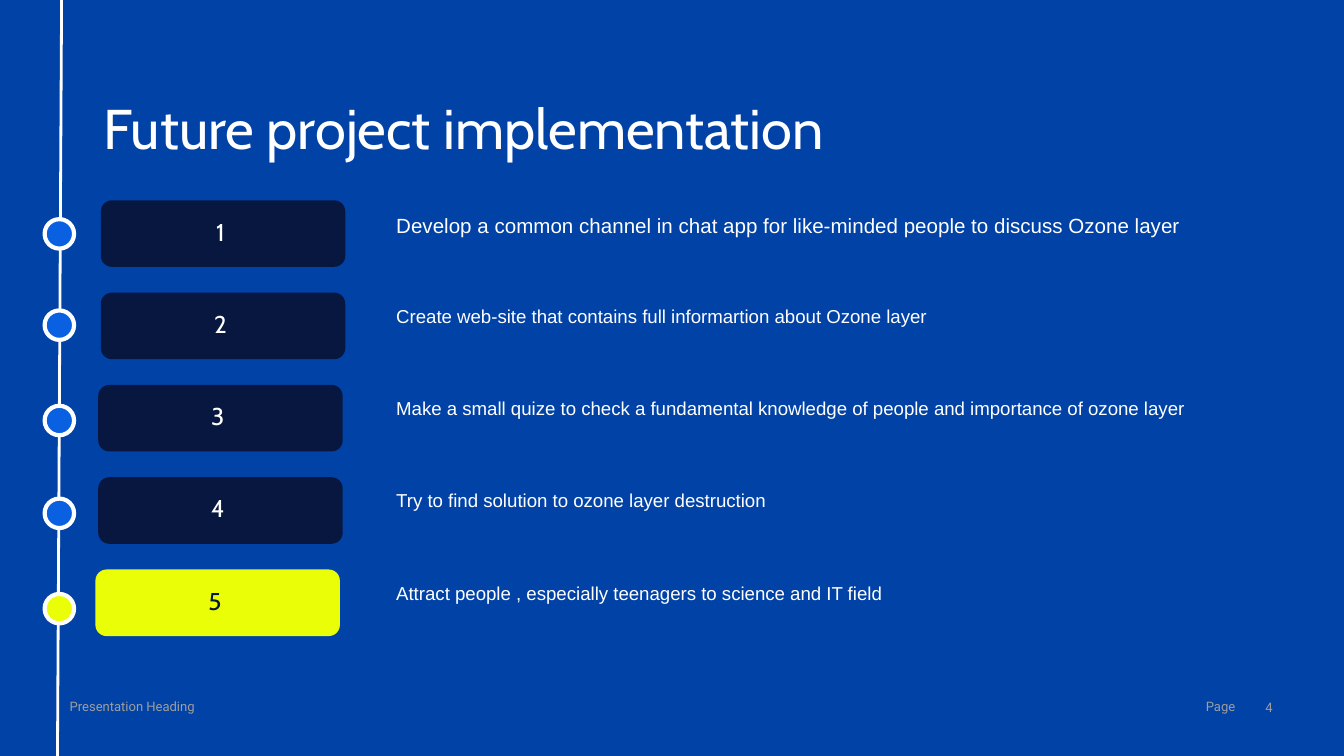
from pptx import Presentation
from pptx.dml.color import RGBColor
from pptx.enum.shapes import MSO_CONNECTOR, MSO_SHAPE
from pptx.enum.text import MSO_ANCHOR, PP_ALIGN
from pptx.oxml.ns import qn
from pptx.util import Pt
from lxml import etree

ROUND = MSO_SHAPE.ROUNDED_RECTANGLE
OVAL = MSO_SHAPE.OVAL
LINE = MSO_CONNECTOR.STRAIGHT
MID = MSO_ANCHOR.MIDDLE
LEFT, RIGHT, CENTER = PP_ALIGN.LEFT, PP_ALIGN.RIGHT, PP_ALIGN.CENTER

BLUE = RGBColor(0x00, 0x42, 0xA6)
NAVY = RGBColor(0x07, 0x17, 0x3F)
AZURE = RGBColor(0x09, 0x60, 0xE1)
YELLOW = RGBColor(0xEA, 0xFE, 0x07)
WHITE = RGBColor(0xFF, 0xFF, 0xFF)
GRAY = RGBColor(0x9E, 0x9E, 0x9E)

TOP, STEP = 107.3, 49.45
STEPS = [
    (54, 117.4, 11, "Develop a common channel in chat app for like-minded people to discuss Ozone layer"),
    (54, 166.3, 10, "Create web-site that contains full informartion about Ozone layer"),
    (52.6, 217.4, 10, "Make a small quize to check a fundamental knowledge of people and importance of ozone layer"),
    (52.6, 267.1, 10, "Try to find solution to ozone layer destruction"),
    (51.1, 318.2, 10, "Attract people , especially teenagers to science and IT field"),
]


def add_text(slide, box, text, size, face, color, align=LEFT, pad=0, space=None):
    shape = slide.shapes.add_textbox(*map(Pt, box))
    frame = shape.text_frame
    frame.word_wrap = True
    frame.margin_left = frame.margin_right = Pt(pad)
    frame.margin_top = frame.margin_bottom = Pt(pad)
    frame.text = text
    para = frame.paragraphs[0]
    para.alignment = align
    if space:
        para.line_spacing = space
    font = para.runs[0].font
    font.size, font.name = Pt(size), face
    font.color.rgb = color
    return frame


def add_form(slide, kind, box, fill):
    shape = slide.shapes.add_shape(kind, *map(Pt, box))
    shape.shadow.inherit = False
    shape.fill.solid()
    shape.fill.fore_color.rgb = fill
    shape.line.fill.background()
    return shape


def add_dot(slide, top, fill):
    dot = add_form(slide, OVAL, (23.9, top, 15.8, 15.8), fill)
    dot.line.color.rgb = WHITE
    dot.line.width = Pt(2.25)


def add_rail(slide):
    rail = slide.shapes.add_connector(LINE, Pt(33), Pt(0), Pt(30.8), Pt(405))
    rail.line.color.rgb = WHITE
    rail.line.width = Pt(1.5)
    etree.SubElement(rail.element.spPr, qn("a:effectLst"))


def add_step(slide, index, left, dot, size, text):
    last = index == len(STEPS) - 1
    top = TOP + index * STEP
    card = add_form(slide, ROUND, (left, top, 131, 35.7), YELLOW if last else NAVY)
    card.adjustments[0] = 0.167
    add_dot(slide, dot, YELLOW if last else AZURE)
    add_text(slide, (left + 2.9, top + 1.6, 122.4, 30.2), str(index + 1), 13,
             "Cabin", NAVY if last else WHITE, CENTER, 7.2)
    add_text(slide, (205.2, top - 2.4, 438, 29), text, size, "Arial", WHITE,
             pad=7.2, space=1.15)


def add_footer(slide):
    add_text(slide, (37.4, 374.4, 196.6, 8.6), "Presentation Heading", 7, "Roboto", GRAY)
    add_text(slide, (636.5, 374.4, 25.2, 8.6), "Page", 7, "Roboto", GRAY, RIGHT)
    page = add_text(slide, (666, 374.4, 15.8, 9.4), "4", 7, "Roboto", GRAY, RIGHT)
    page.vertical_anchor = MID


def main():
    deck = Presentation()
    deck.slide_width, deck.slide_height = Pt(720), Pt(405)
    slide = deck.slides.add_slide(deck.slide_layouts[6])
    slide.background.fill.solid()
    slide.background.fill.fore_color.rgb = BLUE
    add_footer(slide)
    add_text(slide, (55.6, 56.9, 514.8, 28.8), "Future project implementation", 30,
             "Cabin", WHITE, space=0.8)
    add_rail(slide)
    for index, step in enumerate(STEPS):
        add_step(slide, index, *step)
    deck.save("out.pptx")


if __name__ == "__main__":
    main()
